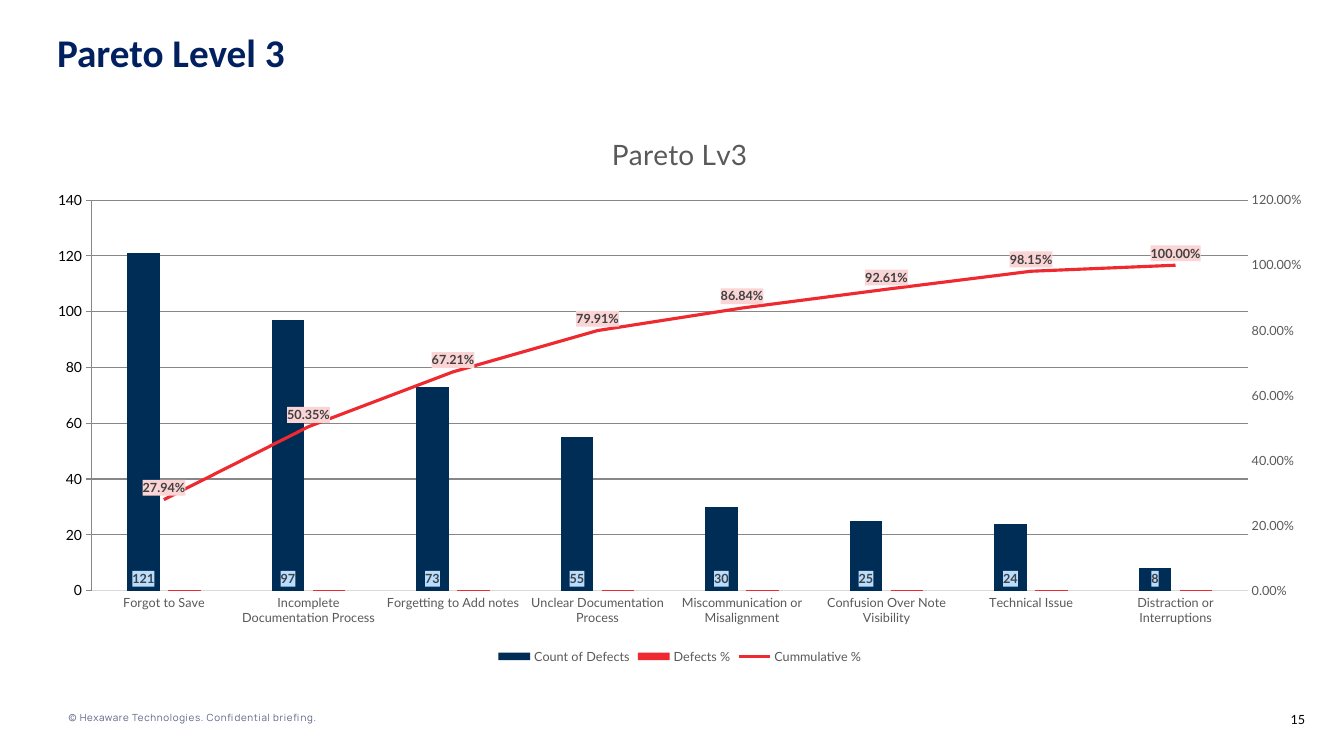
from itertools import accumulate

from pptx import Presentation, oxml
from pptx import util as u
from pptx.chart import axis as ax, data as cd
from pptx.dml import color
from pptx.enum import chart as ch, text
from pptx.oxml import ns

Cm, Pt = u.Cm, u.Pt
GREY, RULE, NAVY, RED = "595959", "D9D9D9", "002D56", "EE292F"


def rgb(code):
    return color.RGBColor.from_string(code)


def style(font, code, **values):
    for key, value in values.items():
        setattr(font, key, value)
    font.color.rgb = rgb(code)


deck = Presentation()
deck.slide_width, deck.slide_height = Cm(33.87), Cm(19.05)
slide = deck.slides.add_slide(deck.slide_layouts[6])

# Heading, footer and page number: words, box in cm, inset, alignment, colour, font
LEFT, RIGHT = text.PP_ALIGN.LEFT, text.PP_ALIGN.RIGHT
texts = [
    ("Pareto Level 3", (1.19, 0.71, 26.92, 1.35), (0.25, 0.13), LEFT, "002060",
     dict(name="Calibri", size=Pt(28), bold=True)),
    ("© Hexaware Technologies. Confidential briefing.", (1.73, 17.93, 7.72, 0.3),
     (0, 0), LEFT, "5B6383", dict(name="Manrope", size=Pt(7))),
    ("15", (32.13, 17.93, 0.76, 0.38), (0, 0), RIGHT, "000000",
     dict(name="Lato", size=Pt(9))),
]
for words, box, (side, top), align, code, font in texts:
    frame = slide.shapes.add_textbox(*map(Cm, box)).text_frame
    frame.word_wrap = True
    frame.margin_left = frame.margin_right = Cm(side)
    frame.margin_top = frame.margin_bottom = Cm(top)
    line = frame.paragraphs[0]
    line.alignment = align
    run = line.add_run()
    run.text = words
    style(run.font, code, **font)
    if font["name"] == "Calibri":
        line.line_spacing = 0.9
    if font["name"] == "Manrope":
        run.font._element.set("spc", "50")

# Defect counts, with shares and running shares worked out from them
defects = {
    "Forgot to Save": 121,
    "Incomplete Documentation Process": 97,
    "Forgetting to Add notes": 73,
    "Unclear Documentation Process": 55,
    "Miscommunication or Misalignment": 30,
    "Confusion Over Note Visibility": 25,
    "Technical Issue": 24,
    "Distraction or Interruptions": 8,
}
counts = list(defects.values())
total = sum(counts)
pareto = cd.CategoryChartData()
pareto.categories = list(defects)
pareto.add_series("Count of Defects", counts)
pareto.add_series("Defects %", [round(n / total, 2) for n in counts], "0.00%")
pareto.add_series("Cummulative %", [round(n / total, 4) for n in accumulate(counts)], "0.00%")
chart = slide.shapes.add_chart(
    ch.XL_CHART_TYPE.COLUMN_CLUSTERED, Cm(0.81), Cm(2.84), Cm(32.64), Cm(14), pareto).chart
style(chart.font, "000000", name="Lato", size=Pt(10))

# Move the cumulative series to a line plot on a second pair of axes
C = ns.nsdecls("c")
bars = next(chart.element.iter(ns.qn("c:barChart")))
cumulative = bars.findall(ns.qn("c:ser"))[-1]
for flag in cumulative.findall(ns.qn("c:invertIfNegative")):
    cumulative.remove(flag)
line_plot = oxml.parse_xml(
    f'<c:lineChart {C}><c:grouping val="standard"/><c:varyColors val="0"/>'
    '<c:marker val="1"/><c:axId val="5001"/><c:axId val="5002"/></c:lineChart>')
line_plot.insert(2, cumulative)
bars.addnext(line_plot)
right_scale = oxml.parse_xml(
    f'<c:valAx {C}><c:axId val="5002"/><c:scaling><c:orientation val="minMax"/></c:scaling>'
    '<c:delete val="0"/><c:axPos val="r"/><c:numFmt formatCode="0.00%" sourceLinked="0"/>'
    '<c:tickLblPos val="nextTo"/><c:crossAx val="5001"/><c:crosses val="max"/></c:valAx>')
hidden_axis = oxml.parse_xml(
    f'<c:catAx {C}><c:axId val="5001"/><c:scaling><c:orientation val="minMax"/></c:scaling>'
    '<c:delete val="1"/><c:axPos val="b"/><c:crossAx val="5002"/></c:catAx>')
left_scale = next(chart.element.iter(ns.qn("c:valAx")))
left_scale.addnext(right_scale)
right_scale.addnext(hidden_axis)

# Title and legend
chart.has_title = True
heading = chart.chart_title.text_frame
heading.text = "Pareto Lv3"
style(heading.paragraphs[0].runs[0].font, GREY, name="Lato", size=Pt(20), bold=False)
chart.has_legend = True
chart.legend.position = ch.XL_LEGEND_POSITION.BOTTOM
chart.legend.include_in_layout = False
style(chart.legend.font, GREY, name="Lato", size=Pt(9))

# Axes
causes, number, percent = chart.category_axis, chart.value_axis, ax.ValueAxis(right_scale)
for scale in (causes, number, percent):
    scale.major_tick_mark = scale.minor_tick_mark = ch.XL_TICK_MARK.NONE
    style(scale.tick_labels.font, GREY, name="Lato", size=Pt(9))
for scale, top, step in ((number, 140, 20), (percent, 1.2, 0.2)):
    scale.minimum_scale, scale.maximum_scale, scale.major_unit = 0, top, step
    scale.format.line.fill.background()
number.has_major_gridlines = True
for rule in (causes.format.line, number.major_gridlines.format.line):
    rule.color.rgb = rgb(RULE)
    rule.width = Pt(0.75)

# Series
columns, curve = chart.plots
columns.gap_width, columns.overlap = 219, -27
columns.vary_by_categories = False
for series, code in zip(columns.series, (NAVY, RED)):
    series.format.fill.solid()
    series.format.fill.fore_color.rgb = rgb(code)
    series.invert_if_negative = False
running = curve.series[0]
running.smooth = False
running.marker.style = ch.XL_MARKER_STYLE.NONE
running.format.line.color.rgb = rgb(RED)
running.format.line.width = Pt(2.25)

# Data labels on tinted boxes
POSITION = ch.XL_LABEL_POSITION
for series, position, tint, number_format in (
        (columns.series[0], POSITION.INSIDE_BASE, "B9DDFF", "General"),
        (running, POSITION.ABOVE, "FBD4D5", "0.00%")):
    labels = series.data_labels
    labels.show_value = True
    labels.position = position
    labels.number_format, labels.number_format_is_linked = number_format, False
    style(labels.font, "404040", name="Lato", size=Pt(9), bold=True)
    label_text = next(labels._element.iter(ns.qn("c:txPr")))
    label_text.addprevious(oxml.parse_xml(
        f'<c:spPr {ns.nsdecls("c", "a")}><a:solidFill><a:srgbClr val="{tint}"/>'
        '</a:solidFill></c:spPr>'))

deck.save("out.pptx")
